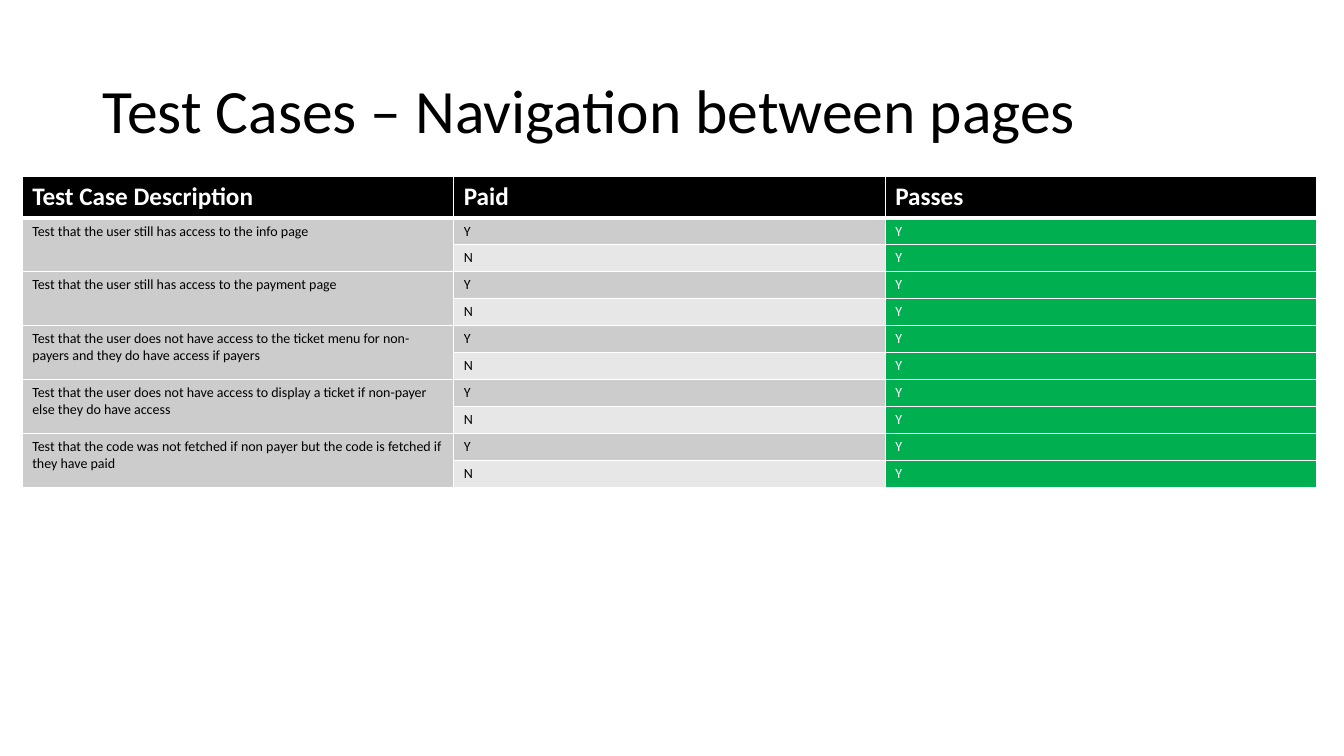
from lxml import etree
from pptx import Presentation
from pptx.dml.color import RGBColor
from pptx.enum.text import MSO_ANCHOR
from pptx.oxml.ns import qn
from pptx.util import Inches, Pt

MIDDLE = MSO_ANCHOR.MIDDLE
FONT = "Calibri"
COLORS = {
    "black": "000000",
    "white": "FFFFFF",
    "dark_band": "CCCCCC",
    "light_band": "E7E7E7",
    "pass": "00B050",
}
HEADERS = ["Test Case Description", "Paid", "Passes"]
TEST_CASES = [
    "Test that the user still has access to the info page",
    "Test that the user still has access to the payment page",
    "Test that the user does not have access to the ticket menu for non-payers "
    "and they do have access if payers",
    "Test that the user does not have access to display a ticket if non-payer "
    "else they do have access",
    "Test that the code was not fetched if non payer but the code is fetched "
    "if they have paid",
]
PAID_BANDS = [("Y", "dark_band"), ("N", "light_band")]


def write(tf, text, size, color, bold=False):
    """Put one formatted paragraph into a text frame and return it."""
    tf.text = text
    p = tf.paragraphs[0]
    for r in p.runs:
        r.font.name = FONT
        r.font.size = Pt(size)
        r.font.bold = bold
        r.font.color.rgb = RGBColor.from_string(COLORS[color])
    return p


def set_borders(cell, bottom=1):
    """Give a cell white borders, with its own bottom width in points."""
    tc_pr = cell._tc.get_or_add_tcPr()
    widths = {"a:lnL": 1, "a:lnR": 1, "a:lnT": 1, "a:lnB": bottom}
    for i, (tag, width) in enumerate(widths.items()):
        ln = etree.Element(qn(tag), w=str(Pt(width)))
        fill = etree.SubElement(ln, qn("a:solidFill"))
        etree.SubElement(fill, qn("a:srgbClr"), val=COLORS["white"])
        tc_pr.insert(i, ln)


def fill_cell(cell, text, fill, color="black", size=10, bold=False, bottom=1):
    """Set the text, fill and borders of a table cell."""
    write(cell.text_frame, text, size, color, bold)
    cell.fill.solid()
    cell.fill.fore_color.rgb = RGBColor.from_string(COLORS[fill])
    set_borders(cell, bottom)


def add_title(slide, text):
    """Add the slide title."""
    sp = slide.shapes.add_textbox(Inches(0.92), Inches(0.4), Inches(11.5), Inches(1.45))
    tf = sp.text_frame
    tf.word_wrap = True
    tf.vertical_anchor = MIDDLE
    write(tf, text, 44, "black").line_spacing = 0.9


def add_test_table(slide):
    """Add the table with a paid and an unpaid row for each test case."""
    rows = 1 + len(TEST_CASES) * len(PAID_BANDS)
    frame = slide.shapes.add_table(
        rows, len(HEADERS), Inches(0.22), Inches(1.75), Inches(12.84), Inches(2.61)
    )
    table = frame.table
    for column in table.columns:
        column.width = Inches(4.28)
    for i, row in enumerate(table.rows):
        row.height = Inches(0.22 if i else 0.41)
    for col, header in enumerate(HEADERS):
        fill_cell(table.cell(0, col), header, "black", "white", 18, True, 3)
    for i, case in enumerate(TEST_CASES):
        top = 1 + i * len(PAID_BANDS)
        for row, (paid, band) in enumerate(PAID_BANDS, top):
            fill_cell(table.cell(row, 0), "", "dark_band")
            fill_cell(table.cell(row, 1), paid, band)
            fill_cell(table.cell(row, 2), "Y", "pass", "white")
        table.cell(top, 0).merge(table.cell(top + 1, 0))
        write(table.cell(top, 0).text_frame, case, 10, "black")


def main():
    """Build and save the slide."""
    prs = Presentation()
    prs.slide_width, prs.slide_height = Inches(13.33), Inches(7.5)
    slide = prs.slides.add_slide(prs.slide_layouts[6])
    add_title(slide, "Test Cases – Navigation between pages")
    add_test_table(slide)
    prs.save("out.pptx")


if __name__ == "__main__":
    main()
